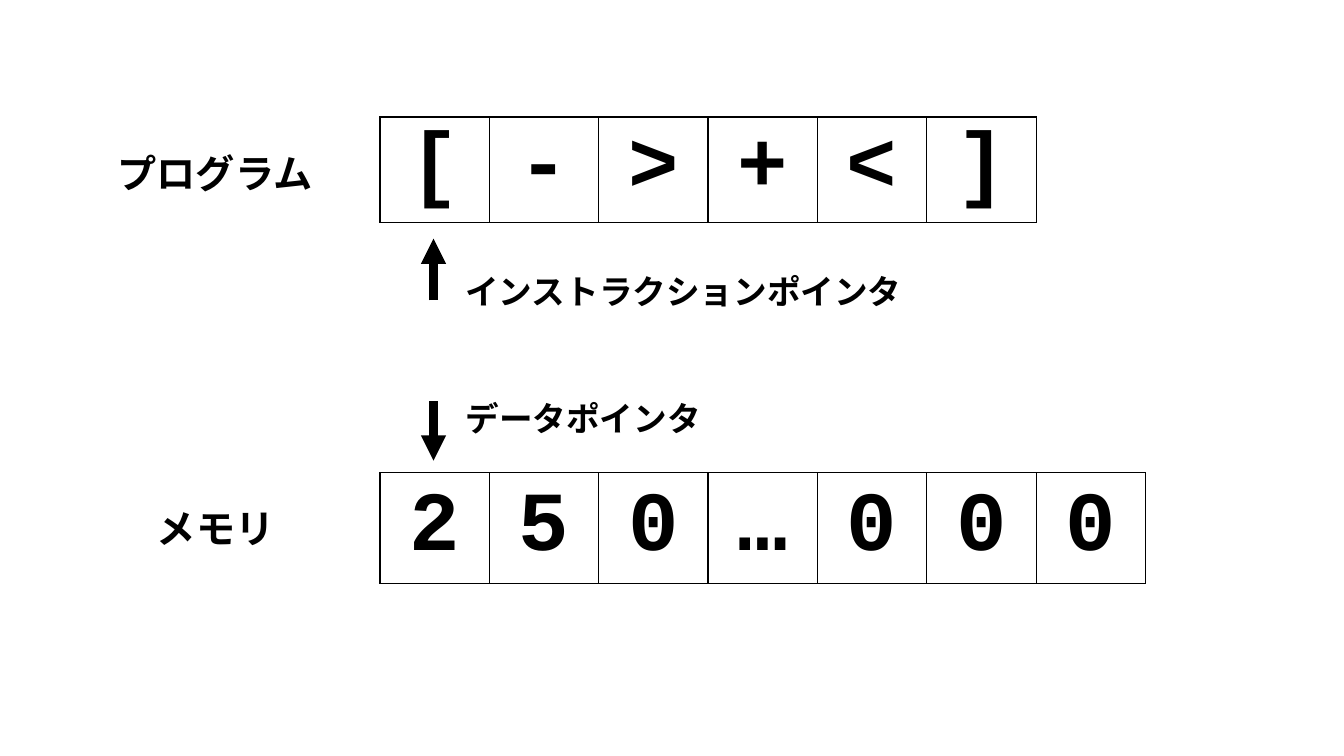
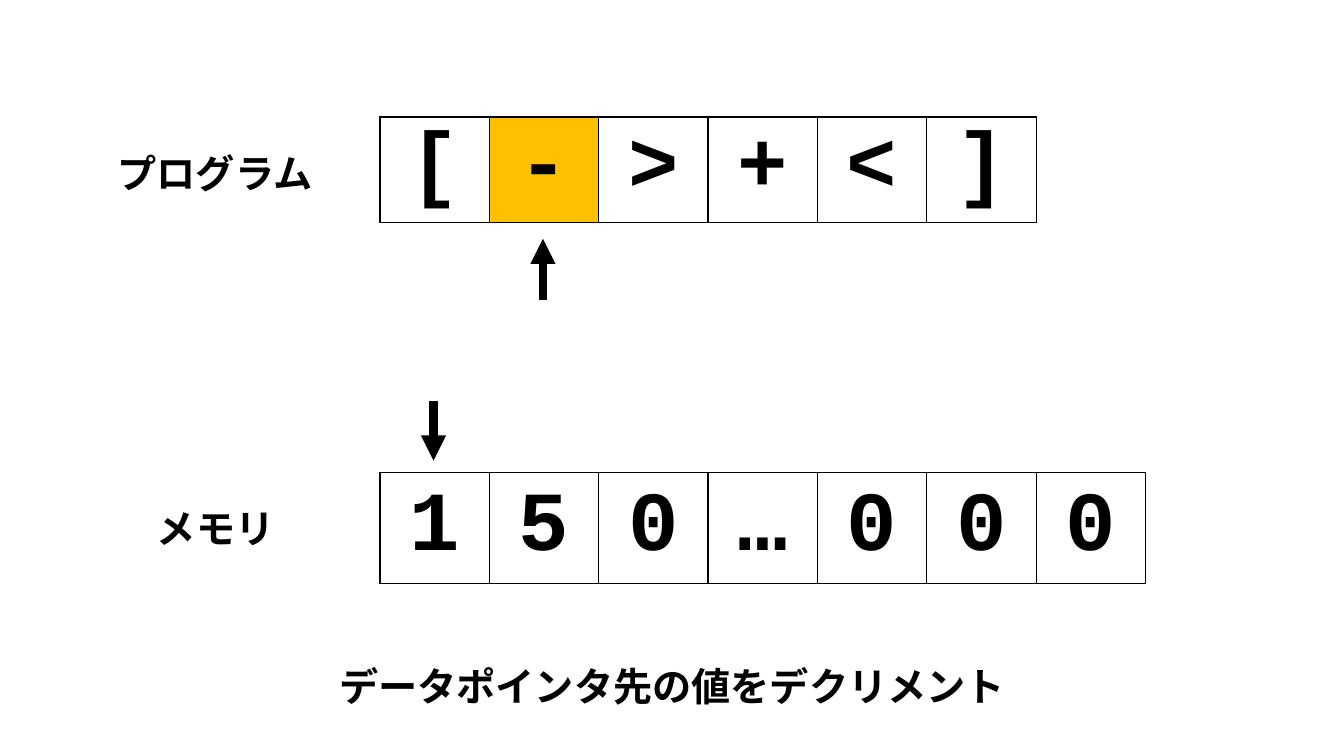
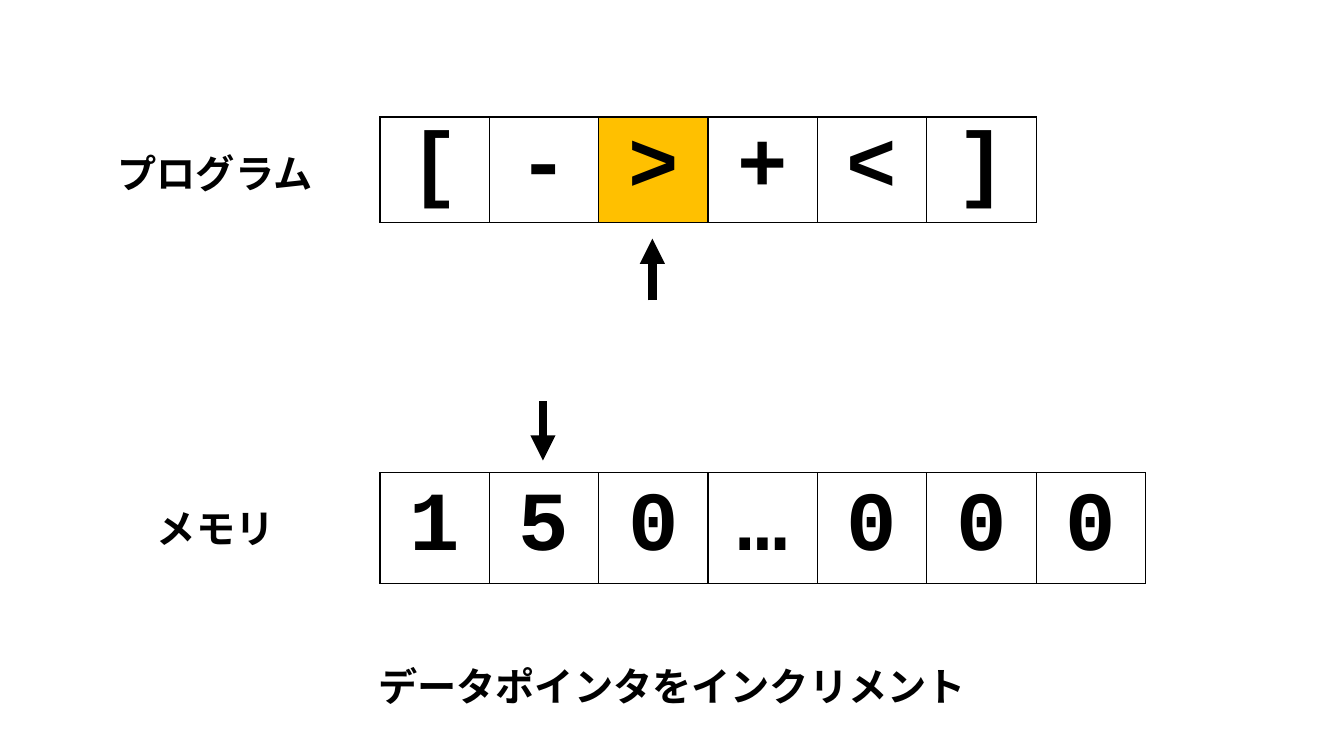
from lxml.etree import SubElement
from pptx import Presentation
from pptx.dml.color import RGBColor
from pptx.enum.shapes import MSO_CONNECTOR
from pptx.enum.text import MSO_ANCHOR, MSO_AUTO_SIZE, PP_ALIGN
from pptx.oxml.ns import qn
from pptx.util import Pt

BLACK, WHITE, GOLD = "000000", "FFFFFF", "FFC000"
MONO, SANS = "Courier New", "Noto Sans CJK JP"
LEFT, CELL = 271.4, 78.15
CODE = "[->+<]"


def color(code):
    """Turn a hex string into a colour."""
    return RGBColor.from_string(code)


def write(par, text, size, face):
    """Add one bold black run in the given face."""
    run = par.add_run()
    run.text = text
    font = run.font
    font.size, font.bold, font.name = Pt(size), True, face
    font.color.rgb = color(BLACK)
    SubElement(font._element, qn("a:ea"), typeface=face)


def label(slide, box, text, size=28, wrap=False):
    """Place a text box, centred when it wraps."""
    frame = slide.shapes.add_textbox(*map(Pt, box)).text_frame
    frame.word_wrap = wrap
    frame.auto_size = MSO_AUTO_SIZE.SHAPE_TO_FIT_TEXT
    par = frame.paragraphs[0]
    par.alignment = PP_ALIGN.CENTER if wrap else PP_ALIGN.LEFT
    write(par, text, size, SANS)


def border(cell):
    """Draw a thin black line on all sides of a cell."""
    props = cell._tc.get_or_add_tcPr()
    for side in ("lnL", "lnR", "lnT", "lnB"):
        line = SubElement(props, qn("a:" + side), w=str(Pt(1)))
        fill = SubElement(line, qn("a:solidFill"))
        SubElement(fill, qn("a:srgbClr"), val=BLACK)


def strip(slide, top, height, signs, mark=None):
    """Draw a row of cells, one sign in each, with one marked."""
    frame = slide.shapes.add_table(
        1, len(signs), Pt(LEFT), Pt(top), Pt(CELL * len(signs)), Pt(height))
    table = frame.table
    table.first_row = table.horz_banding = False
    for spot, sign in enumerate(signs):
        table.columns[spot].width = Pt(CELL)
        cell = table.cell(0, spot)
        border(cell)
        cell.fill.solid()
        cell.fill.fore_color.rgb = color(GOLD if spot == mark else WHITE)
        cell.vertical_anchor = MSO_ANCHOR.MIDDLE
        par = cell.text_frame.paragraphs[0]
        par.alignment = PP_ALIGN.CENTER
        write(par, sign, 60, MONO)


def arrow(slide, spot, start, end):
    """Point up or down at the cell with the given index."""
    mid = Pt(LEFT + CELL * (spot + 0.5) - 0.8)
    link = slide.shapes.add_connector(
        MSO_CONNECTOR.STRAIGHT, mid, Pt(start), mid, Pt(end))
    link.line.width = Pt(6)
    link.line.color.rgb = color(BLACK)
    SubElement(link.line._get_or_add_ln(), qn("a:tailEnd"), type="triangle")
    SubElement(link._element.spPr, qn("a:effectLst"))


def program(slide, top, step, mark):
    """Draw the program strip, its label and its pointer."""
    strip(slide, top, 75, CODE, mark)
    label(slide, (77, top + 19.5, 156, 41), "プログラム")
    arrow(slide, step, top + 131, top + 87)


def memory(slide, top, cells, spot):
    """Draw the memory strip, its label and its pointer."""
    strip(slide, top, 79.2, cells)
    label(slide, (105, top + 18.7, 99, 41), "メモリ")
    arrow(slide, spot, top - 51.2, top - 8.7)


def state(deck, step, cells, spot, mark=None, note=None):
    """Add a slide with one state of the machine."""
    slide = deck.slides.add_slide(deck.slide_layouts[6])
    program(slide, 83.5, step, mark)
    memory(slide, 337.7, cells, spot)
    if note:
        label(slide, (67, 469.4, 826, 41), note, wrap=True)
    return slide


def main():
    """Build and save the deck."""
    deck = Presentation()
    deck.slide_width, deck.slide_height = Pt(960), Pt(540)
    first = state(deck, 0, "250…000", 0)
    label(first, (325.4, 190, 330, 36), "インストラクションポインタ", 24)
    label(first, (325.4, 280.8, 184, 36), "データポインタ", 24)
    state(deck, 1, "150…000", 0, 1, "データポインタ先の値をデクリメント")
    state(deck, 2, "150…000", 1, 2, "データポインタをインクリメント")
    deck.save("out.pptx")


if __name__ == "__main__":
    main()
